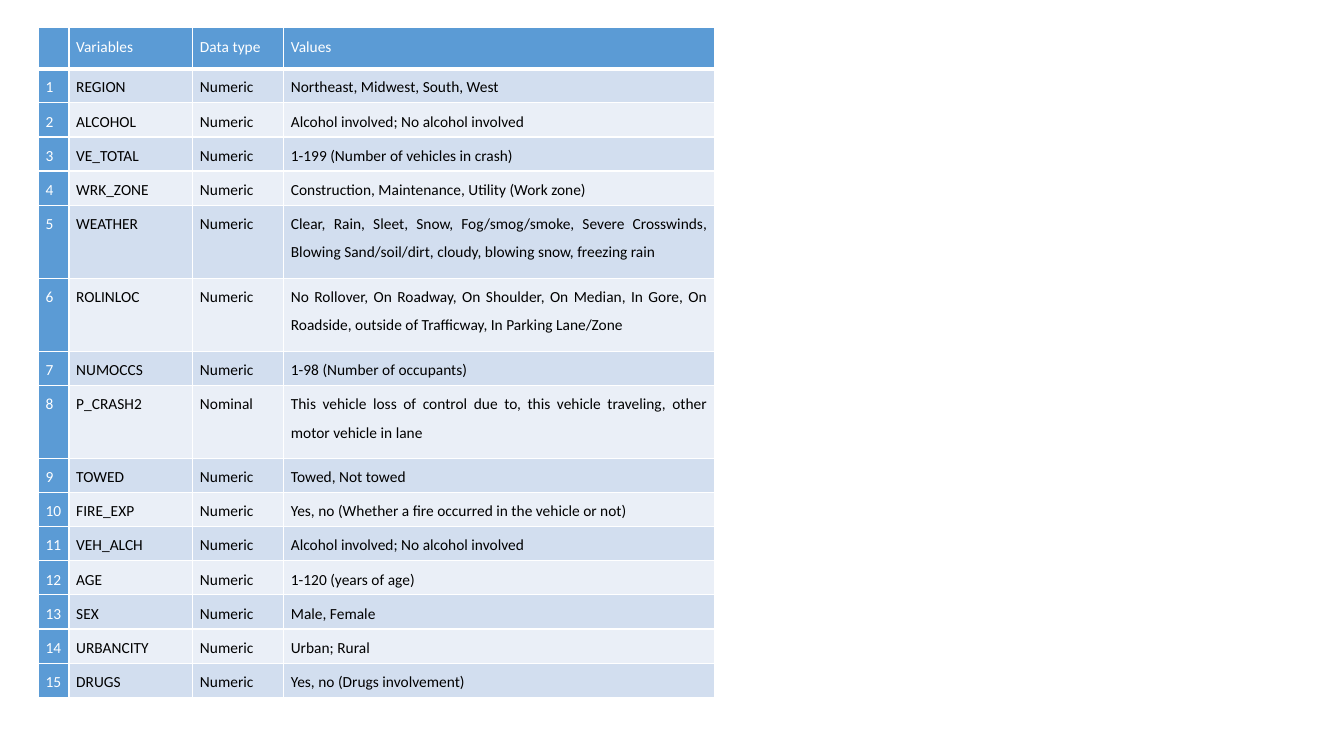
from dataclasses import dataclass

from lxml import etree
from pptx import Presentation
from pptx.dml.color import RGBColor
from pptx.enum.text import PP_ALIGN
from pptx.oxml.ns import qn
from pptx.util import Cm, Pt

LEFT = PP_ALIGN.LEFT
JUSTIFY = PP_ALIGN.JUSTIFY


@dataclass(frozen=True)
class Theme:
    font: str = "Calibri"
    size: float = 11
    line_spacing: float = 1.5
    accent: str = "5B9BD5"
    bands: tuple = ("D2DEEF", "EAEFF7")
    light: str = "FFFFFF"
    dark: str = "000000"
    border: float = 1
    header_border: float = 3


theme = Theme()

HEADER = ("", "Variables", "Data type", "Values")
VARIABLES = [
    ("REGION", "Numeric", "Northeast, Midwest, South, West"),
    ("ALCOHOL", "Numeric", "Alcohol involved; No alcohol involved"),
    ("VE_TOTAL", "Numeric", "1-199 (Number of vehicles in crash)"),
    ("WRK_ZONE", "Numeric", "Construction, Maintenance, Utility (Work zone)"),
    ("WEATHER", "Numeric", "Clear, Rain, Sleet, Snow, Fog/smog/smoke, Severe Crosswinds, "
                           "Blowing Sand/soil/dirt, cloudy, blowing snow, freezing rain"),
    ("ROLINLOC", "Numeric", "No Rollover, On Roadway, On Shoulder, On Median, In Gore, "
                            "On Roadside, outside of Trafficway, In Parking Lane/Zone"),
    ("NUMOCCS", "Numeric", "1-98 (Number of occupants)"),
    ("P_CRASH2", "Nominal", "This vehicle loss of control due to, this vehicle traveling, "
                            "other motor vehicle in lane"),
    ("TOWED", "Numeric", "Towed, Not towed"),
    ("FIRE_EXP", "Numeric", "Yes, no (Whether a fire occurred in the vehicle or not)"),
    ("VEH_ALCH", "Numeric", "Alcohol involved; No alcohol involved"),
    ("AGE", "Numeric", "1-120 (years of age)"),
    ("SEX", "Numeric", "Male, Female"),
    ("URBANCITY", "Numeric", "Urban; Rural"),
    ("DRUGS", "Numeric", "Yes, no (Drugs involvement)"),
]
COLUMN_WIDTHS = (0.77, 3.12, 2.29, 10.86)
HEADER_HEIGHT = 1.03
ROW_HEIGHT = 0.86
TALL_ROW_HEIGHT = 1.84
ONE_LINE_LENGTH = 60


def write_text(cell, text, color, alignment):
    paragraph = cell.text_frame.paragraphs[0]
    paragraph.alignment = alignment
    paragraph.line_spacing = theme.line_spacing
    paragraph.font.size = Pt(theme.size)
    run = paragraph.add_run()
    run.text = text
    run.font.name = theme.font
    run.font.size = Pt(theme.size)
    run.font.color.rgb = RGBColor.from_string(color)


def add_borders(cell, bottom_width):
    properties = cell._tc.get_or_add_tcPr()
    for side in "LRTB":
        width = bottom_width if side == "B" else theme.border
        line = etree.SubElement(properties, qn(f"a:ln{side}"), w=str(Pt(width)))
        fill = etree.SubElement(line, qn("a:solidFill"))
        etree.SubElement(fill, qn("a:srgbClr"), val=theme.light)


presentation = Presentation()
presentation.slide_width = Cm(33.87)
presentation.slide_height = Cm(19.05)
slide = presentation.slides.add_slide(presentation.slide_layouts[6])

rows = [HEADER] + [(str(number), *variable) for number, variable in enumerate(VARIABLES, 1)]
heights = [HEADER_HEIGHT] + [
    TALL_ROW_HEIGHT if len(values) > ONE_LINE_LENGTH else ROW_HEIGHT
    for name, data_type, values in VARIABLES
]
table = slide.shapes.add_table(
    len(rows), len(HEADER), Cm(0.97), Cm(0.7), Cm(sum(COLUMN_WIDTHS)), Cm(sum(heights))
).table
table.first_col = True

for column, width in zip(table.columns, COLUMN_WIDTHS):
    column.width = Cm(width)

for row_index, texts in enumerate(rows):
    table.rows[row_index].height = Cm(heights[row_index])
    is_header = row_index == 0
    for column_index, text in enumerate(texts):
        cell = table.cell(row_index, column_index)
        is_number = column_index == 0
        is_accent = is_header or is_number
        cell.margin_left = cell.margin_right = Cm(0.18)
        cell.margin_top = cell.margin_bottom = Cm(0)
        add_borders(cell, theme.header_border if is_header else theme.border)
        cell.fill.solid()
        cell.fill.fore_color.rgb = RGBColor.from_string(
            theme.accent if is_accent else theme.bands[(row_index - 1) % 2]
        )
        write_text(
            cell,
            text,
            color=theme.light if is_accent else theme.dark,
            alignment=LEFT if is_number else JUSTIFY,
        )

presentation.save("out.pptx")
